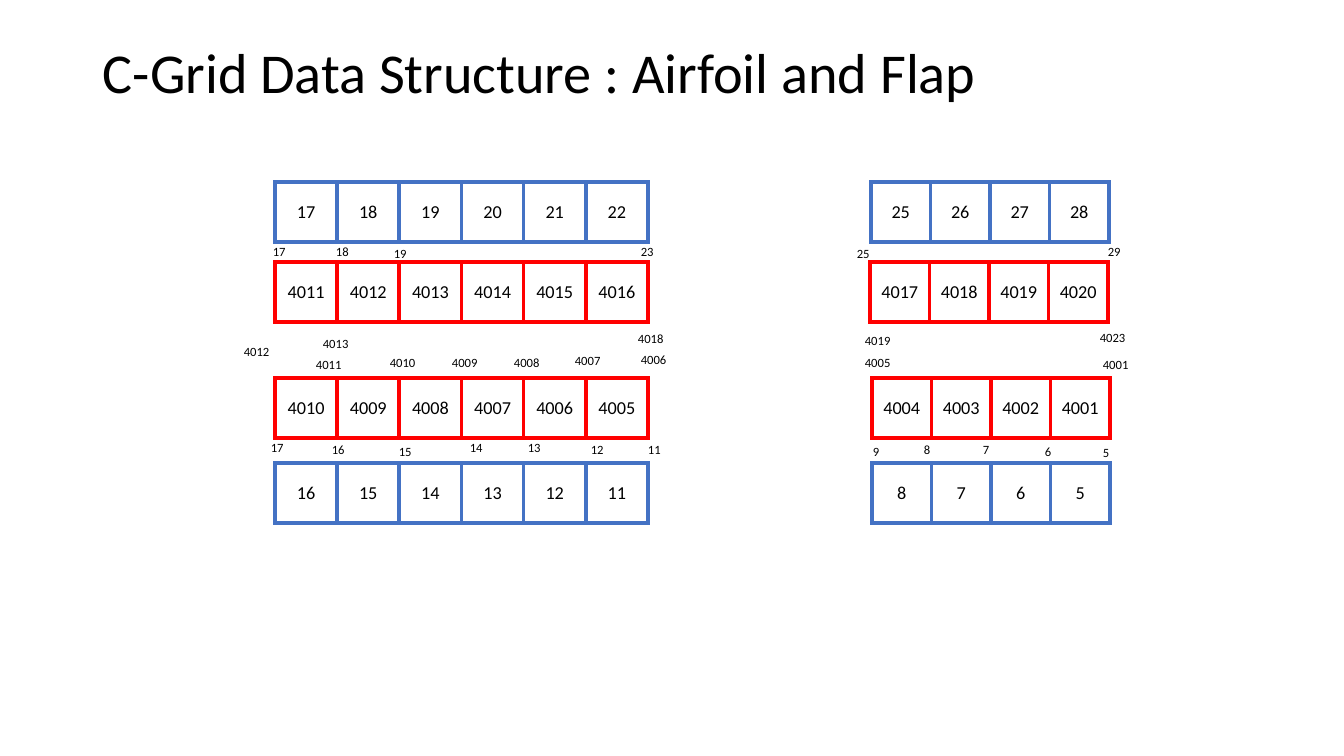
"""Build the C-grid data structure slide with its cell rows and node numbers."""
from lxml import etree
from pptx import Presentation
from pptx.dml.color import RGBColor
from pptx.enum.text import MSO_ANCHOR, PP_ALIGN
from pptx.oxml.ns import qn
from pptx.util import Pt

EMU_PER_PX = 914400 / 100.8
BLACK = RGBColor(0x00, 0x00, 0x00)
WHITE = RGBColor(0xFF, 0xFF, 0xFF)
RED = RGBColor(0xFF, 0x00, 0x00)
BLUE = RGBColor(0x44, 0x72, 0xC4)
CENTER = PP_ALIGN.CENTER
MIDDLE = MSO_ANCHOR.MIDDLE
TOP = MSO_ANCHOR.TOP
ROW_HEIGHT = 60
LABEL_HEIGHT = 25
AIRFOIL_LEFT, AIRFOIL_WIDTH = 275, 373
FLAP_WIDTH = 238


def px(length):
    return round(length * EMU_PER_PX)


def write(frame, text, size):
    frame.text = text
    para = frame.paragraphs[0]
    font = para.runs[0].font
    font.name, font.size = "Calibri", Pt(size)
    font.color.rgb = BLACK
    return para


deck = Presentation()
deck.slide_width, deck.slide_height = px(1344), px(756)
page = deck.slides.add_slide(deck.slide_layouts[6])

cell_rows = [
    (AIRFOIL_LEFT, 378, AIRFOIL_WIDTH, RED, range(4010, 4004, -1)),
    (872, 378, FLAP_WIDTH, RED, range(4004, 4000, -1)),
    (AIRFOIL_LEFT, 262, AIRFOIL_WIDTH, RED, range(4011, 4017)),
    (870, 262, FLAP_WIDTH, RED, range(4017, 4021)),
    (AIRFOIL_LEFT, 463, AIRFOIL_WIDTH, BLUE, range(16, 10, -1)),
    (AIRFOIL_LEFT, 182, AIRFOIL_WIDTH, BLUE, range(17, 23)),
    (872, 463, FLAP_WIDTH, BLUE, range(8, 4, -1)),
    (871, 182, FLAP_WIDTH, BLUE, range(25, 29)),
]
for left, top, width, color, numbers in cell_rows:
    table = page.shapes.add_table(
        1, len(numbers), px(left), px(top), px(width), px(ROW_HEIGHT)
    ).table
    table.first_row = table.horz_banding = False
    for column, number in enumerate(numbers):
        table.columns[column].width = px(width) // len(numbers)
        cell = table.cell(0, column)
        cell.margin_left = cell.margin_right = px(8)
        cell.margin_top = cell.margin_bottom = px(4)
        cell.vertical_anchor = MIDDLE
        write(cell.text_frame, str(number), 13).alignment = CENTER
        properties = cell._tc.get_or_add_tcPr()
        for side in ("a:lnL", "a:lnR", "a:lnT", "a:lnB"):
            border = etree.SubElement(properties, qn(side), w=str(Pt(3)))
            fill = etree.SubElement(border, qn("a:solidFill"))
            etree.SubElement(fill, qn("a:srgbClr"), val=str(color))
        cell.fill.solid()
        cell.fill.fore_color.rgb = WHITE

node_labels = [
    ("5", 1093, 440, 33), ("6", 1035, 439, 33), ("7", 973, 437, 33),
    ("8", 914, 437, 33), ("11", 638, 437, 33), ("12", 581, 437, 33),
    ("13", 518, 435, 33), ("14", 460, 435, 33), ("9", 863, 439, 33),
    ("15", 389, 439, 33), ("16", 322, 437, 33), ("17", 261, 435, 33),
    ("4001", 1093, 352, 47), ("4005", 855, 350, 48), ("4006", 631, 347, 52),
    ("4012", 234, 339, 62), ("4011", 306, 352, 53), ("4010", 380, 350, 47),
    ("4007", 565, 348, 55), ("4008", 504, 350, 51), ("4009", 442, 350, 59),
    ("4013", 313, 331, 58), ("4018", 628, 326, 55), ("4019", 855, 328, 52),
    ("4023", 1090, 325, 52), ("17", 263, 239, 33), ("18", 326, 239, 33),
    ("19", 384, 241, 33), ("23", 631, 239, 33), ("25", 847, 241, 33),
    ("29", 1098, 239, 33),
]
for text, left, top, width in node_labels:
    box = page.shapes.add_textbox(px(left), px(top), px(width), px(LABEL_HEIGHT))
    box.text_frame.word_wrap = True
    write(box.text_frame, text, 9)

title = page.shapes.add_textbox(px(93), px(40), px(1159), px(146))
title.text_frame.word_wrap = True
title.text_frame.vertical_anchor = TOP
write(title.text_frame, "C-Grid Data Structure : Airfoil and Flap", 40.2).line_spacing = 0.9

deck.save("out.pptx")
